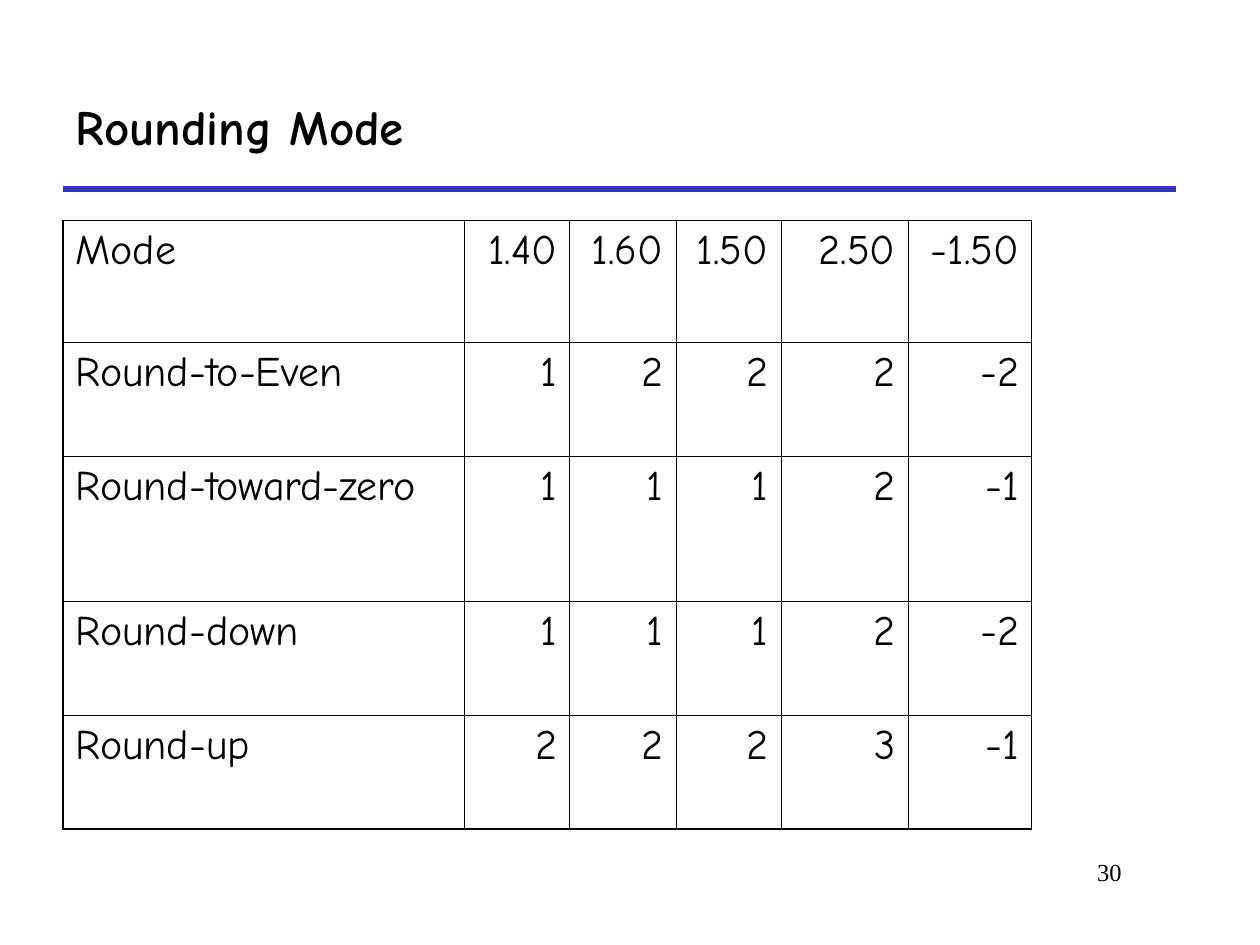
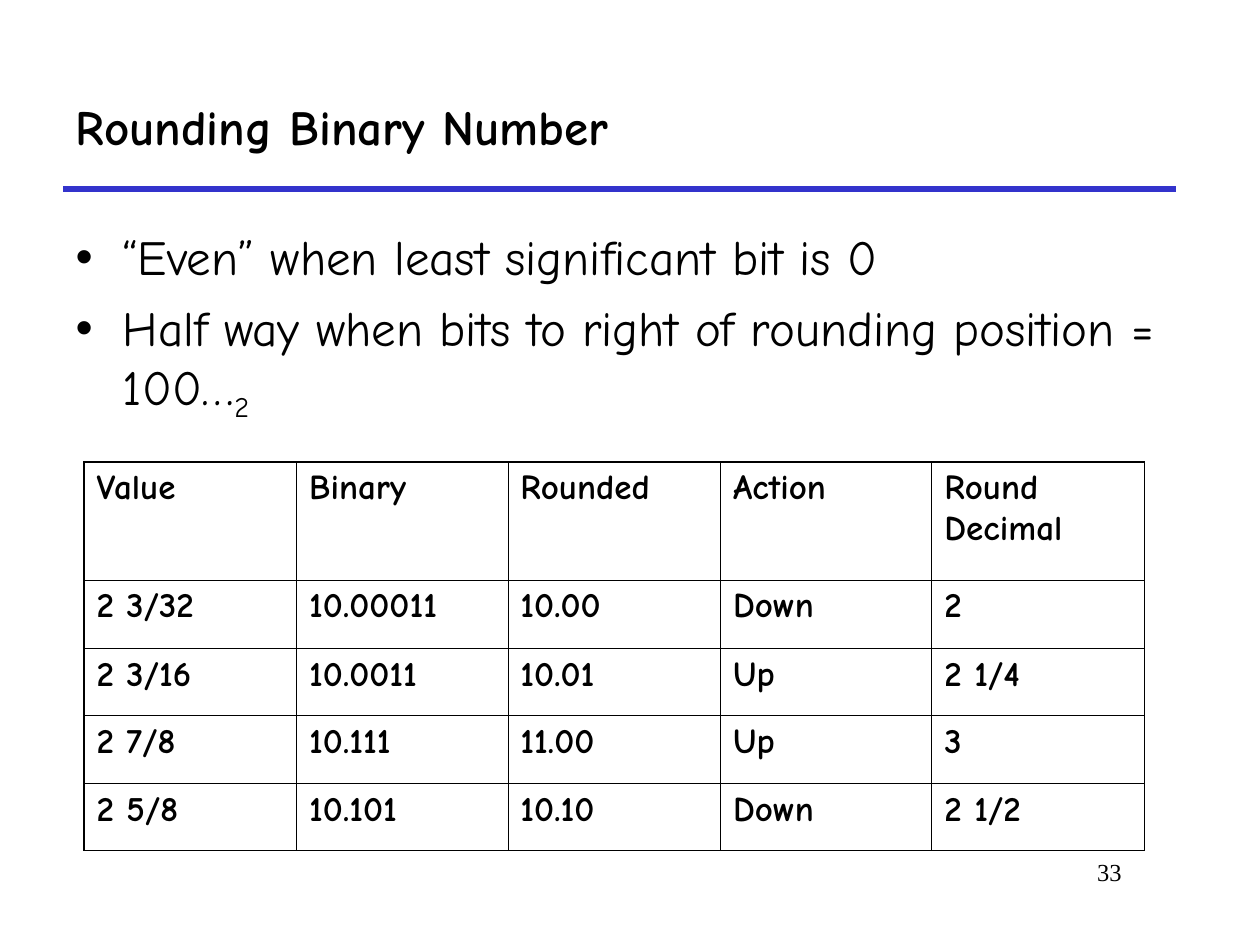
from lxml.etree import SubElement
from pptx import Presentation
from pptx.dml.color import RGBColor
from pptx.enum.shapes import MSO_CONNECTOR
from pptx.enum.text import MSO_ANCHOR, MSO_AUTO_SIZE, PP_ALIGN
from pptx.oxml.ns import qn
from pptx.util import Pt

PX = 9525
BLACK, BLUE = "000000", "3333CC"
THIN, THICK = Pt(0.45), Pt(1.08)
TITLE_ONLY, TITLE_AND_BODY = 5, 1


def color(value):
    return RGBColor.from_string(value)


def add_run(p, text, size, bold=False, name="Comic Neue"):
    r = p.add_run()
    r.text = text
    r.font.size = Pt(size)
    r.font.bold = bold
    r.font.name = name
    r.font.color.rgb = color(BLACK)
    return r


slides = [
    {
        "title": "Rounding Mode",
        "number": "30",
        "bullets": [],
        "at": (48, 168),
        "cols": [306, 80, 81, 80, 97, 94],
        "rows": [93, 87, 110, 87, 87],
        "size": 24, "bold": False, "before": 6, "numbers": PP_ALIGN.RIGHT,
        "cells": [
            ["Mode", "1.40", "1.60", "1.50", "2.50", "-1.50"],
            ["Round-to-Even", "1", "2", "2", "2", "-2"],
            ["Round-toward-zero", "1", "1", "1", "2", "-1"],
            ["Round-down", "1", "1", "1", "2", "-2"],
            ["Round-up", "2", "2", "2", "3", "-1"],
        ],
    },
    {
        "title": "Rounding Binary Number",
        "number": "33",
        "bullets": [
            ("“Even” when least significant bit is 0", ""),
            ("Half way when bits to right of rounding position = 100…", "2"),
        ],
        "at": (64, 352),
        "cols": [162, 161, 162, 161, 162],
        "rows": [90, 52, 51, 52, 51],
        "size": 20, "bold": True, "before": 5, "numbers": PP_ALIGN.LEFT,
        "cells": [
            ["Value", "Binary", "Rounded", "Action", "Round Decimal"],
            ["2 3/32", "10.00011", "10.00", "Down", "2"],
            ["2 3/16", "10.0011", "10.01", "Up", "2 1/4"],
            ["2 7/8", "10.111", "11.00", "Up", "3"],
            ["2 5/8", "10.101", "10.10", "Down", "2 1/2"],
        ],
    },
]

prs = Presentation()
prs.slide_width, prs.slide_height = 960 * PX, 720 * PX

for data in slides:
    layout = TITLE_AND_BODY if data["bullets"] else TITLE_ONLY
    s = prs.slides.add_slide(prs.slide_layouts[layout])

    line = s.shapes.add_connector(
        MSO_CONNECTOR.STRAIGHT, 48 * PX, 144 * PX, 896 * PX, 144 * PX)
    line.line.color.rgb = color(BLUE)
    line.line.width = Pt(3)
    SubElement(line.element.spPr, qn("a:effectLst"))

    sp = s.shapes.add_textbox(728 * PX, 648 * PX, 136 * PX, 48 * PX)
    sp.text_frame.word_wrap = True
    p = sp.text_frame.paragraphs[0]
    p.alignment = PP_ALIGN.RIGHT
    add_run(p, data["number"], 14, name="Times New Roman")

    title = s.shapes.title
    title.left, title.top, title.width, title.height = 48 * PX, 48 * PX, 848 * PX, 96 * PX
    tf = title.text_frame
    tf.auto_size = MSO_AUTO_SIZE.NONE
    tf.vertical_anchor = MSO_ANCHOR.MIDDLE
    tf.paragraphs[0].alignment = PP_ALIGN.LEFT
    add_run(tf.paragraphs[0], data["title"], 28, bold=True)

    if data["bullets"]:
        body = s.placeholders[1]
        body.left, body.top, body.width, body.height = 48 * PX, 168 * PX, 848 * PX, 176 * PX
        tf = body.text_frame
        tf.auto_size = MSO_AUTO_SIZE.NONE
        for i, (text, subscript) in enumerate(data["bullets"]):
            p = tf.add_paragraph() if i else tf.paragraphs[0]
            p.space_before = Pt(7)
            add_run(p, text, 28)
            if subscript:
                r = add_run(p, subscript, 28)
                r.font._element.set("baseline", "-25000")

    cols, rows = data["cols"], data["rows"]
    left, top = data["at"]
    table = s.shapes.add_table(
        len(rows), len(cols), left * PX, top * PX, sum(cols) * PX, sum(rows) * PX).table
    table.first_row = table.horz_banding = False
    for col, width in zip(table.columns, cols):
        col.width = width * PX
    for row, height in zip(table.rows, rows):
        row.height = height * PX

    for i, texts in enumerate(data["cells"]):
        for j, text in enumerate(texts):
            cell = table.cell(i, j)
            outer = {"L": j == 0, "R": j == len(cols) - 1,
                     "T": i == 0, "B": i == len(rows) - 1}
            tcPr = cell._tc.get_or_add_tcPr()
            for side, is_outer in outer.items():
                ln = SubElement(tcPr, qn(f"a:ln{side}"), w=str(THICK if is_outer else THIN))
                fill = SubElement(ln, qn("a:solidFill"))
                SubElement(fill, qn("a:srgbClr"), val=BLACK)
            cell.fill.background()
            p = cell.text_frame.paragraphs[0]
            p.space_before = Pt(data["before"])
            p.alignment = data["numbers"] if j else PP_ALIGN.LEFT
            add_run(p, text, data["size"], data["bold"])

prs.save("out.pptx")
